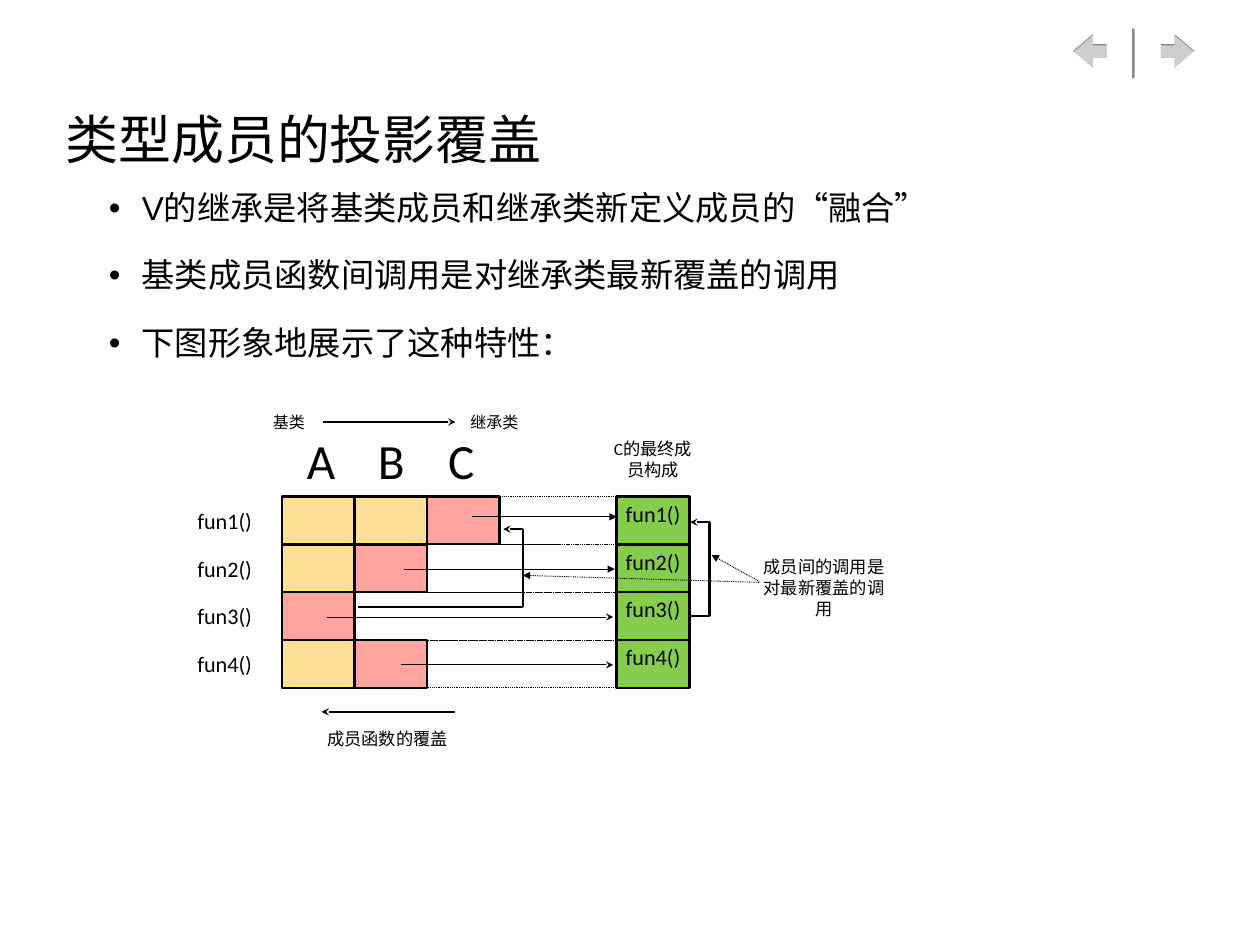
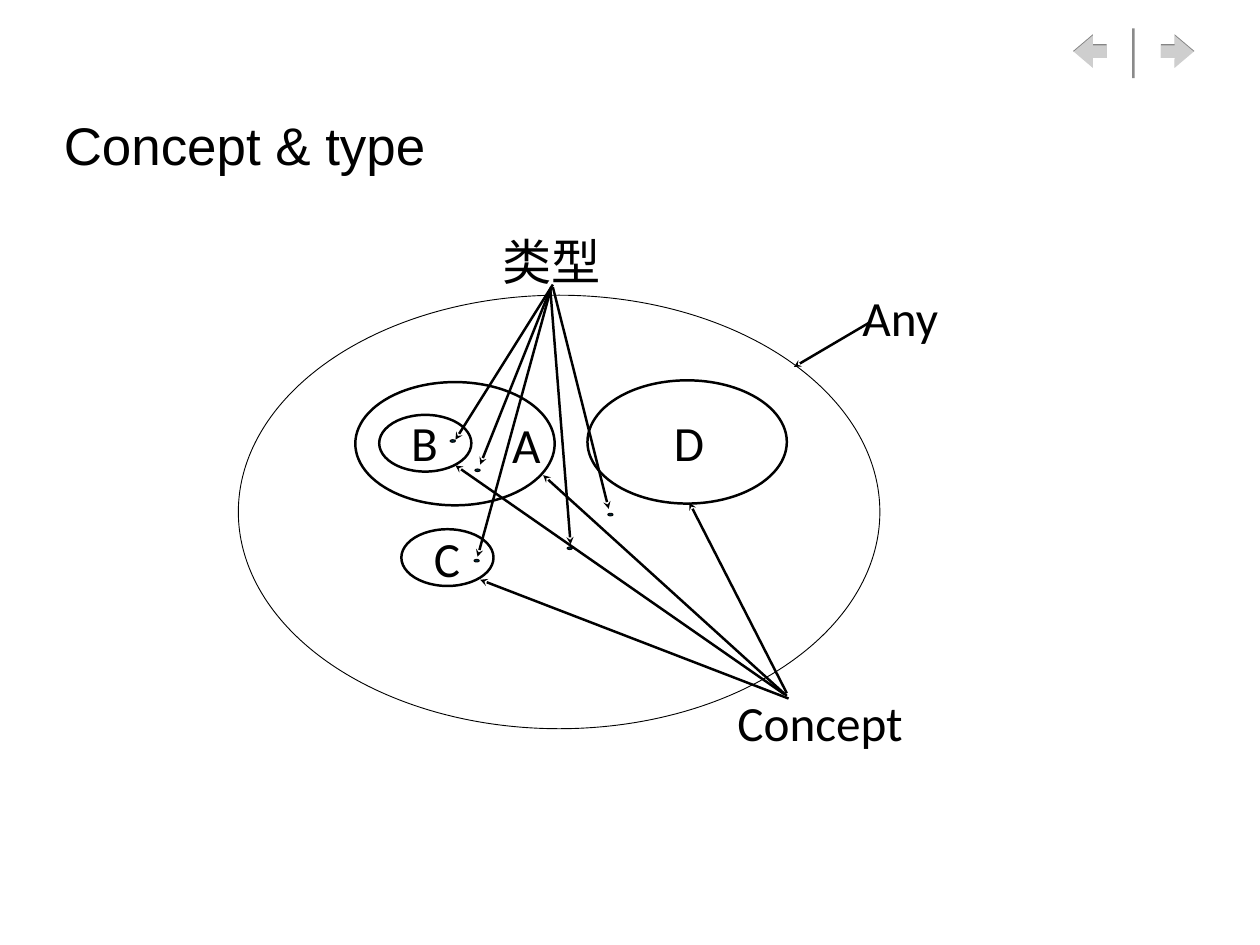
"""Build two slides: how members are overridden by projection, and how concepts relate to types."""
from lxml.etree import SubElement
from pptx import Presentation
from pptx.dml.color import RGBColor
from pptx.enum.dml import MSO_LINE
from pptx.enum.shapes import MSO_CONNECTOR, MSO_SHAPE
from pptx.enum.text import MSO_ANCHOR, MSO_AUTO_SIZE, PP_ALIGN
from pptx.oxml.ns import qn
from pptx.util import Inches, Pt

BLACK = RGBColor(0x00, 0x00, 0x00)
WHITE = RGBColor(0xFF, 0xFF, 0xFF)
INHERITED = RGBColor(0xFE, 0xDF, 0x98)
OVERRIDE = RGBColor(0xFF, 0xA4, 0x9F)
FINAL = RGBColor(0x86, 0xCD, 0x4D)
DOT = RGBColor(0x00, 0x29, 0x39)
THICK, THIN = 2, 0.75

BULLETS = [
    "V的继承是将基类成员和继承类新定义成员的“融合”",
    "基类成员函数间调用是对继承类最新覆盖的调用",
    "下图形象地展示了这种特性：",
]
CLASSES = ["A", "B", "C"]
MEMBERS = [
    ("fun1()", 2, (6.96, 5.33, 5.83), "triangle"),
    ("fun2()", 1, (6.94, 4.56, 6.42), "triangle"),
    ("fun3()", 0, (6.92, 3.69, 6.96), "stealth"),
    ("fun4()", 1, (6.92, 4.53, 7.5), "stealth"),
]
GRID_LEFT, GRID_TOP, CELL_WIDTH, CELL_HEIGHT, FINAL_LEFT = 3.18, 5.6, 0.82, 0.54, 6.96
MEMBER_NOTES = [
    ("C的最终成员构成", (6.85, 4.9, 1.04, 0.56), 14, True),
    ("继承类", (5.31, 4.65, 0.54, 0.22), 13, False),
    ("基类", (3.08, 4.65, 0.36, 0.22), 13, False),
    ("成员间的调用是对最新覆盖的调用", (8.6, 6.24, 1.4, 0.78), 14, True),
    ("成员函数的覆盖", (3.69, 8.22, 1.37, 0.23), 14, False),
]
DIRECTION_ARROWS = [((5.14, 4.76), (3.65, 4.76)), ((3.63, 8.03), (5.13, 8.03))]
BASE_CALL = [(5.68, 5.97), (5.9, 5.97), (5.9, 6.85), (4.04, 6.85)]
FINAL_CALL = [(7.79, 5.89), (8.01, 5.89), (8.01, 6.95), (7.78, 6.95)]
NOTE_POINTERS = [((5.9, 6.49), (8.58, 6.57)), ((8.03, 6.26), (8.57, 6.56))]

ANY_SET = (2.69, 3.33, 7.24, 4.89)
CONCEPT_SETS = [
    (4.01, 4.31, 2.25, 1.39),
    (6.63, 4.29, 2.25, 1.39),
    (4.53, 5.97, 1.04, 0.64),
    (4.28, 4.68, 1.04, 0.64),
]
TYPE_DOTS = [(5.08, 4.96), (5.36, 5.29), (6.86, 5.79), (6.4, 6.17), (5.35, 6.31)]
CONCEPT_LABELS = [
    ("A", 5.76, 4.67, 0.36),
    ("B", 4.61, 4.65, 0.36),
    ("C", 4.87, 5.96, 0.35),
    ("D", 7.57, 4.65, 0.41),
    ("类型", 5.67, 2.61, 1.11),
    ("Any", 9.67, 3.24, 0.98),
    ("Concept", 8.18, 7.81, 2.15),
]
CONCEPT_ARROWS = [
    ((5.14, 4.96), (6.24, 3.21)),
    ((6.44, 6.14), (6.21, 3.25)),
    ((5.42, 5.24), (6.22, 3.24)),
    ((5.39, 6.28), (6.22, 3.25)),
    ((6.87, 5.74), (6.24, 3.24)),
    ((8.96, 4.14), (9.81, 3.64)),
    ((5.42, 6.54), (8.9, 7.88)),
    ((6.13, 5.36), (8.88, 7.85)),
    ((5.14, 5.25), (8.85, 7.83)),
    ((7.78, 5.67), (8.88, 7.82)),
]


def place(shape, box):
    shape.left, shape.top, shape.width, shape.height = map(Inches, box)


def set_alpha(element, percent):
    for color in element.iter(qn("a:srgbClr")):
        SubElement(color, qn("a:alpha"), val=str(percent * 1000))


def format_frame(frame, anchor, wrap=True):
    frame.auto_size = MSO_AUTO_SIZE.NONE
    frame.word_wrap = wrap
    frame.vertical_anchor = anchor
    frame.margin_left = frame.margin_right = frame.margin_top = frame.margin_bottom = 0


def format_font(paragraph, size, name):
    font = paragraph.font
    font.size, font.name, font.color.rgb = Pt(size), name, BLACK


def write_label(frame, text, size, wrap=True):
    format_frame(frame, MSO_ANCHOR.MIDDLE, wrap)
    paragraph = frame.paragraphs[0]
    paragraph.text = text
    paragraph.alignment = PP_ALIGN.CENTER
    format_font(paragraph, size, "Calibri")


def add_label(slide, text, box, size, wrap=True):
    write_label(slide.shapes.add_textbox(*map(Inches, box)).text_frame, text, size, wrap)


def add_outline(slide, kind, box, fill=None, weight=THICK, dash=None):
    shape = slide.shapes.add_shape(kind, *map(Inches, box))
    shape.shadow.inherit = False
    if fill is None:
        shape.fill.background()
    else:
        shape.fill.solid()
        shape.fill.fore_color.rgb = fill
    shape.line.color.rgb = BLACK
    shape.line.width = Pt(weight)
    if dash:
        shape.line.dash_style = dash
    return shape


def add_line(slide, start, end, weight=THICK, head=None, dash=None):
    connector = slide.shapes.add_connector(MSO_CONNECTOR.STRAIGHT, *map(Inches, start + end))
    connector.line.color.rgb = BLACK
    connector.line.width = Pt(weight)
    if dash:
        connector.line.dash_style = dash
    if head:
        SubElement(connector._element.spPr.find(qn("a:ln")), qn("a:headEnd"), type=head)
    SubElement(connector._element.spPr, qn("a:effectLst"))
    return connector


def add_call(slide, points):
    segments = zip(points, points[1:])
    return [add_line(slide, start, end, head=None if index else "stealth")
            for index, (start, end) in enumerate(segments)]


def add_navigation(slide, master):
    """Draw the navigation marks and move them to the master, so that all slides show them."""
    divider = add_line(slide, (12.79, 0.32), (12.79, 0.88))
    set_alpha(divider._element, 45)
    marks = [divider]
    for kind, left in ((MSO_SHAPE.RIGHT_ARROW, 13.1), (MSO_SHAPE.LEFT_ARROW, 12.11)):
        arrow = add_outline(slide, kind, (left, 0.4, 0.38, 0.38), WHITE)
        arrow.line.fill.background()
        arrow.adjustments[0], arrow.adjustments[1] = 0.41, 0.59
        set_alpha(arrow._element, 60)
        effects = arrow._element.spPr.find(qn("a:effectLst"))
        shadow = SubElement(effects, qn("a:outerShdw"), blurRad="0", dist="12700", dir="16200000")
        SubElement(shadow, qn("a:srgbClr"), val=str(BLACK))
        set_alpha(shadow, 80)
        marks.append(arrow)
    for number, mark in enumerate(marks, 101):
        mark._element.xpath(".//p:cNvPr")[0].set("id", str(number))
        master.shapes._spTree.append(mark._element)


def add_title(slide, text, box, anchor):
    title = slide.shapes.title
    place(title, box)
    format_frame(title.text_frame, anchor)
    paragraph = title.text_frame.paragraphs[0]
    paragraph.text = text
    paragraph.alignment = PP_ALIGN.LEFT
    paragraph.line_spacing = 0.95
    format_font(paragraph, 43, "Arial")


def add_bullets(slide, items, box):
    body = slide.placeholders[1]
    place(body, box)
    frame = body.text_frame
    format_frame(frame, MSO_ANCHOR.TOP)
    for index, item in enumerate(items):
        paragraph = frame.add_paragraph() if index else frame.paragraphs[0]
        paragraph.text = item
        paragraph.level = 1
        properties = paragraph._p.get_or_add_pPr()
        properties.set("marL", str(Inches(0.5)))
        properties.set("indent", str(Inches(-0.37)))
        SubElement(SubElement(properties, qn("a:buClr")), qn("a:srgbClr"), val=str(BLACK))
        SubElement(properties, qn("a:buChar"), char="•")
        paragraph.line_spacing = 0.95
        paragraph.space_before = Pt(24 if index else 0)
        format_font(paragraph, 27, "Arial")


def build_members(slide):
    add_title(slide, "类型成员的投影覆盖", (0.74, 0.99, 10.57, 1.22), MSO_ANCHOR.MIDDLE)
    add_bullets(slide, BULLETS, (1.1, 2.14, 10.46, 6.37))
    for column, name in enumerate(CLASSES):
        add_label(slide, name, (3.21 + 0.79 * column, 4.81, 0.83, 0.75), 40)
    final_cells = []
    for row, (name, latest, _, _) in enumerate(MEMBERS):
        top = GRID_TOP + row * CELL_HEIGHT
        add_label(slide, name, (1.89, top + 0.07, 1.29, 0.4), 18)
        for column in range(latest + 1):
            box = (GRID_LEFT + column * CELL_WIDTH, top, CELL_WIDTH, CELL_HEIGHT)
            add_outline(slide, MSO_SHAPE.RECTANGLE, box, OVERRIDE if column == latest else INHERITED)
        cell = add_outline(slide, MSO_SHAPE.RECTANGLE, (FINAL_LEFT, top, CELL_WIDTH, CELL_HEIGHT), FINAL)
        write_label(cell.text_frame, name, 18, False)
        cell.text_frame.margin_bottom = Inches(0.16)
        final_cells.append(cell)
        right = GRID_LEFT + (latest + 1) * CELL_WIDTH
        add_outline(slide, MSO_SHAPE.RECTANGLE, (right, top, FINAL_LEFT - right, CELL_HEIGHT),
                    weight=THIN, dash=MSO_LINE.ROUND_DOT)
    for _, _, (tip, tail, height), head in MEMBERS:
        add_line(slide, (tip, height), (tail, height), THIN, head)
    for note in MEMBER_NOTES:
        add_label(slide, *note)
    for start, end in DIRECTION_ARROWS:
        add_line(slide, start, end, head="stealth")
    add_call(slide, BASE_CALL)
    add_call(slide, FINAL_CALL)[-1].end_connect(final_cells[2], 3)
    for start, end in NOTE_POINTERS:
        add_line(slide, start, end, THIN, "triangle", MSO_LINE.ROUND_DOT)


def build_concepts(slide):
    add_title(slide, "Concept & type", (0.72, 0.33, 10.57, 1.67), MSO_ANCHOR.BOTTOM)
    add_outline(slide, MSO_SHAPE.OVAL, ANY_SET, weight=THIN)
    for box in CONCEPT_SETS:
        add_outline(slide, MSO_SHAPE.OVAL, box)
    for left, top in TYPE_DOTS:
        add_outline(slide, MSO_SHAPE.OVAL, (left, top, 0.06, 0.03), DOT, THIN)
    for start, end in CONCEPT_ARROWS:
        add_line(slide, start, end, head="stealth")
    for text, left, top, width in CONCEPT_LABELS:
        add_label(slide, text, (left, top, width, 0.67), 40, False)


def main():
    presentation = Presentation()
    presentation.slide_width, presentation.slide_height = Inches(14.22), Inches(10.66)
    layouts = presentation.slide_layouts
    members = presentation.slides.add_slide(layouts[1])
    concepts = presentation.slides.add_slide(layouts[5])
    add_navigation(members, presentation.slide_master)
    build_members(members)
    build_concepts(concepts)
    presentation.save("out.pptx")


if __name__ == "__main__":
    main()
